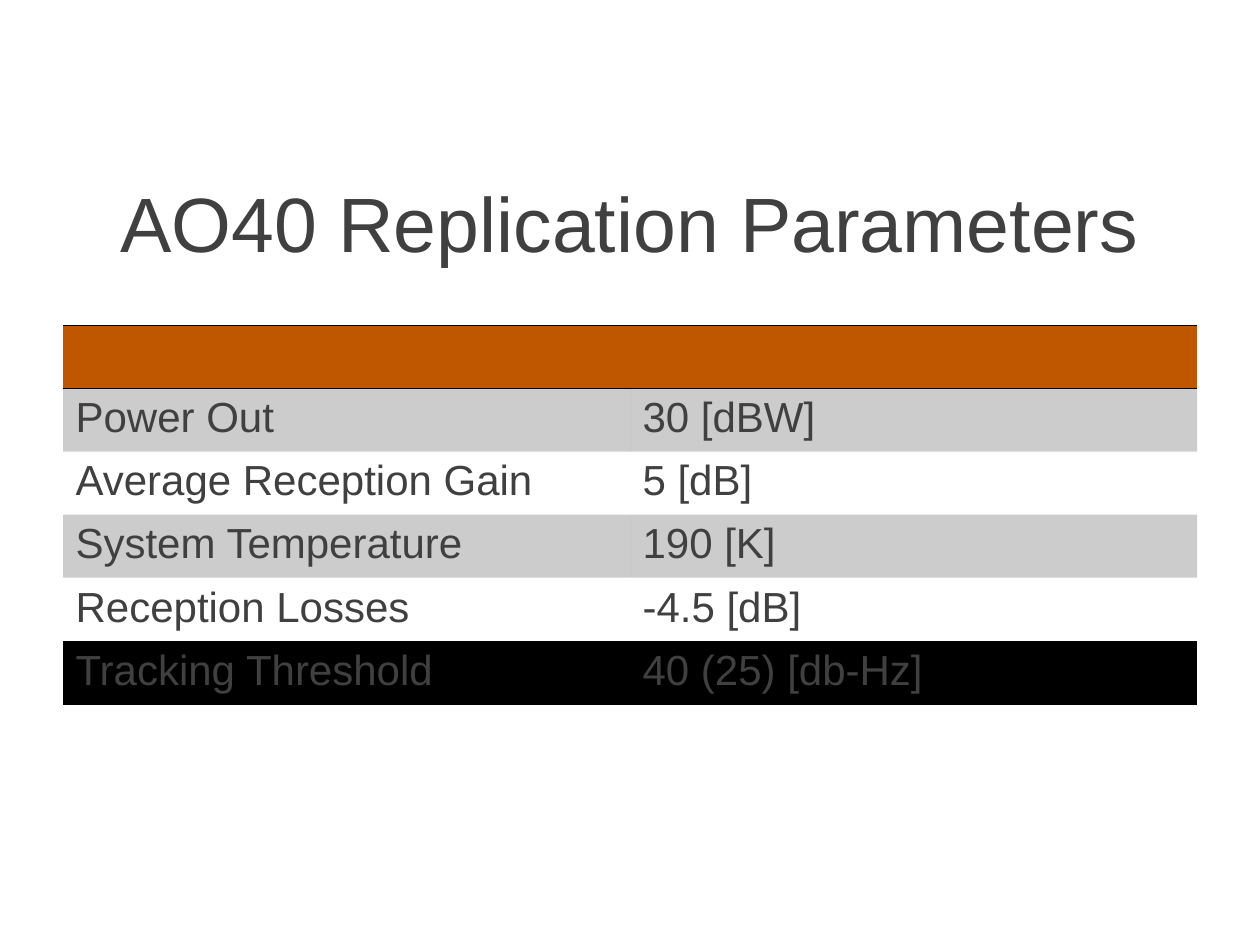
from lxml.etree import SubElement
from pptx import Presentation
from pptx.dml.color import RGBColor
from pptx.enum.text import MSO_ANCHOR as Anchor, PP_ALIGN as Align
from pptx.oxml.ns import qn
from pptx.util import Pt

COLORS = {"text": "404040", "header": "BF5700", "line": "000000", "band": "000000"}
FONT = "Arial"
BODY_SIZE = 24
BAND_OPACITY = 20
NO_STYLE = "{2D5ABB26-0587-4C30-8999-92F81FD0307C}"

PARAMETERS = [
    ("Power Out", "30 [dBW]"),
    ("Average Reception Gain", "5 [dB]"),
    ("System Temperature", "190 [K]"),
    ("Reception Losses", "-4.5 [dB]"),
    ("Tracking Threshold", "40 (25) [db-Hz]"),
]


def write_text(frame, text, size=BODY_SIZE, color="text", align=Align.LEFT):
    para = frame.paragraphs[0]
    para.alignment = align
    span = para.add_run()
    span.text = text
    span.font.name = FONT
    span.font.size = Pt(size)
    span.font.color.rgb = RGBColor.from_string(COLORS[color])


def add_title(page, text):
    box = page.shapes.add_textbox(Pt(36), Pt(81.5), Pt(648), Pt(90))
    frame = box.text_frame
    frame.word_wrap = True
    frame.vertical_anchor = Anchor.MIDDLE
    write_text(frame, text, size=44, align=Align.CENTER)


def add_border(cell, side):
    line = SubElement(cell._tc.get_or_add_tcPr(), qn(f"a:ln{side}"), w=str(Pt(1)))
    fill = SubElement(line, qn("a:solidFill"))
    SubElement(fill, qn("a:srgbClr"), val=COLORS["line"])


def fill_cell(cell, color, opacity=100):
    cell.fill.solid()
    cell.fill.fore_color.rgb = RGBColor.from_string(COLORS[color])
    if opacity < 100:
        tint = cell._tc.tcPr.find(".//" + qn("a:srgbClr"))
        SubElement(tint, qn("a:alpha"), val=str(opacity * 1000))


def format_header(cell):
    # The empty paragraph keeps the body size, which sets the row height
    para = cell.text_frame.paragraphs[0]
    SubElement(para._p, qn("a:endParaRPr"), sz=str(BODY_SIZE * 100))
    add_border(cell, "T")
    add_border(cell, "B")
    fill_cell(cell, "header")


def add_parameter_table(page, records):
    count = len(records) + 1
    holder = page.shapes.add_table(count, 2, Pt(36), Pt(186), Pt(648), Pt(29.2 * count))
    table = holder.table
    table._tbl.tblPr.find(qn("a:tableStyleId")).text = NO_STYLE
    table.horz_banding = False

    # Empty header row
    for cell in table.rows[0].cells:
        format_header(cell)

    # Banded body rows, closed by a line
    for row, record in enumerate(records, start=1):
        for column, text in enumerate(record):
            cell = table.cell(row, column)
            write_text(cell.text_frame, text)
            if row == len(records):
                add_border(cell, "B")
            if row % 2:
                fill_cell(cell, "band", BAND_OPACITY)
            else:
                cell.fill.background()


def main():
    deck = Presentation()
    deck.slide_width, deck.slide_height = Pt(720), Pt(540)
    page = deck.slides.add_slide(deck.slide_layouts[6])
    add_title(page, "AO40 Replication Parameters")
    add_parameter_table(page, PARAMETERS)
    deck.save("out.pptx")


if __name__ == "__main__":
    main()
